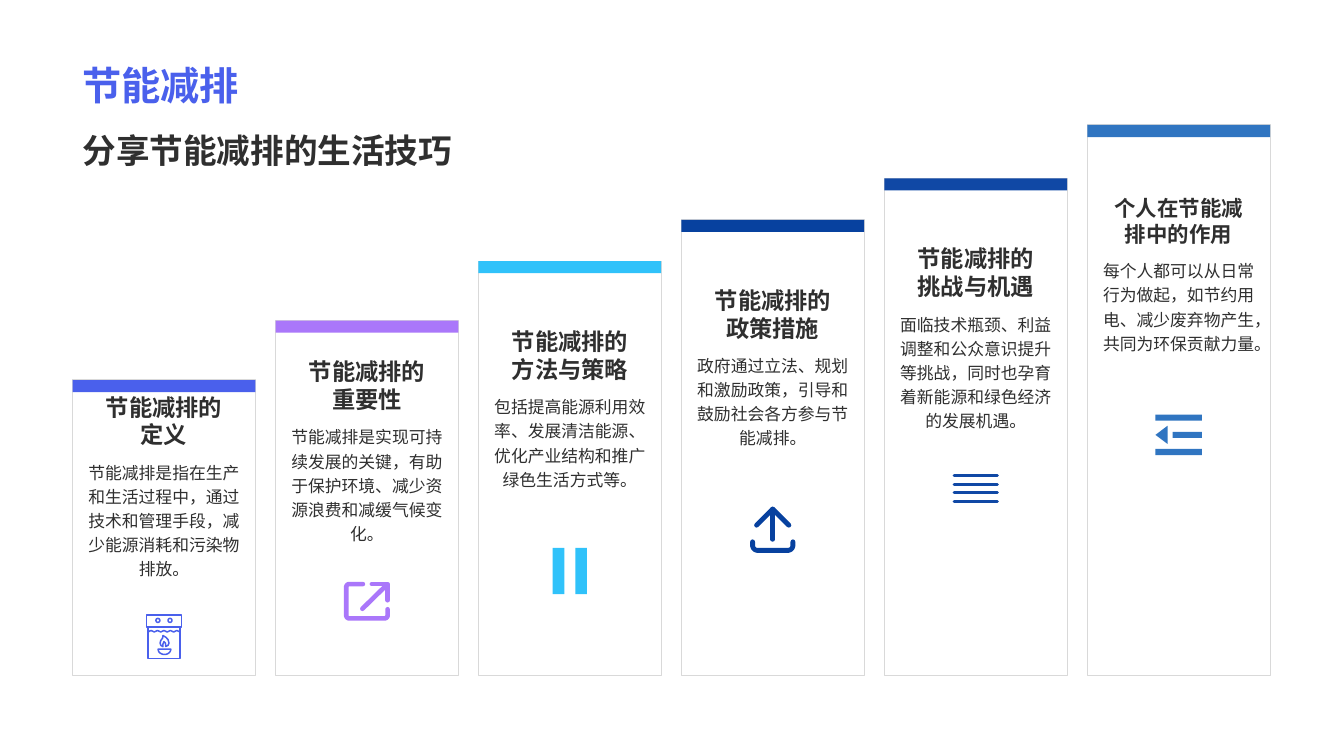
"""Build a slide of six rising columns on saving energy and cutting emissions."""
from dataclasses import dataclass
from math import cos, radians, sin

from lxml.etree import SubElement
from pptx import Presentation
from pptx.dml.color import RGBColor
from pptx.enum.shapes import MSO_SHAPE
from pptx.enum.text import MSO_ANCHOR, PP_ALIGN
from pptx.oxml.ns import qn
from pptx.shapes.autoshape import Shape
from pptx.shapes.shapetree import SlideShapes
from pptx.util import Emu, Inches, Pt

Point = tuple[float, float]
Path = list[Point]

WIDTH, HEIGHT = Inches(13.33), Inches(7.5)
FONT = "Arial"
INK = RGBColor(0x2F, 0x2F, 0x2F)
WHITE = RGBColor(0xFF, 0xFF, 0xFF)
FRAME = RGBColor(0xD9, 0xD9, 0xD9)
INDIGO = RGBColor(0x4A, 0x60, 0xEC)
VIOLET = RGBColor(0xAA, 0x77, 0xFA)
CYAN = RGBColor(0x30, 0xC2, 0xFA)
NAVY = RGBColor(0x07, 0x41, 0x9F)
COBALT = RGBColor(0x10, 0x48, 0xA5)
STEEL = RGBColor(0x30, 0x75, 0xC1)

MARGIN, PITCH, COLUMN_WIDTH, FLOOR = 5.4, 15.1, 13.6, 89.4
CAP_HEIGHT = 1.6
HEADING_WIDTH, HEADING_HEIGHT = 11.55, 7.85
BODY_WIDTH, BODY_HEIGHT = 12.75, 18.27
ICON_DROP = 24.2
ICON_UNIT = Inches(0.01)


@dataclass(frozen=True)
class Box:
    """A rectangle in percent of the slide's width and height."""
    left: float
    top: float
    width: float
    height: float

    def emu(self) -> tuple[Emu, Emu, Emu, Emu]:
        """Return left, top, width and height in EMU."""
        return (Emu(round(WIDTH * self.left / 100)), Emu(round(HEIGHT * self.top / 100)),
                Emu(round(WIDTH * self.width / 100)), Emu(round(HEIGHT * self.height / 100)))


@dataclass(frozen=True)
class Icon:
    """Paths around a centre, in hundredths of an inch; filled if stroke is zero."""
    paths: list[Path]
    stroke: float = 0


@dataclass(frozen=True)
class Column:
    """One column, with its top and the top of its body in percent."""
    heading: str
    body: str
    colour: RGBColor
    top: float
    body_top: float
    icon: Icon
    heading_size: float = 16.6


def arc(x: float, y: float, rx: float, ry: float, start: int, end: int) -> Path:
    """Return points along an elliptical arc."""
    turns = [radians(start + (end - start) * step / 12) for step in range(13)]
    return [(x + rx * cos(turn), y + ry * sin(turn)) for turn in turns]


def bar(left: float, top: float, right: float, bottom: float) -> Path:
    """Return the closed outline of a rectangle."""
    return [(left, top), (right, top), (right, bottom), (left, bottom), (left, top)]


STOVE = Icon([
    bar(-17.5, -21.5, 17.5, -9.5),
    [(-16, -9.5), (-16, 22), (16, 22), (16, -9.5)],
    *[arc(x, -16, 2, 2, 0, 360) for x in (-6, 6)],
    [(-16 + 3.2 * step, -6 if step % 2 else -4.5) for step in range(11)],
    [(-1, -1), (-1.3, 1.5), (-3.2, 4), (-3.8, 6.5), (-3, 8.8), (-1, 10), (-1, 7.5), (0, 5),
     (1.5, 6.5), (1.8, 9.8), (4, 8.8), (5, 6.5), (4, 3), (2, 0.8), (-1, -1)],
    arc(0.5, 12.5, 6.3, 5.3, 0, 180) + [(6.8, 12.5)],
], 1.5)
EXPORT = Icon([
    [(-4, -17), *arc(-17.5, -14, 3, 3, 270, 180), *arc(-17.5, 14, 3, 3, 180, 90),
     *arc(17.5, 14, 3, 3, 90, 0), (20.5, 8)],
    [(5, -17), (20.5, -17), (20.5, -1)],
    [(-4.5, 7.5), (19, -15.5)],
], 4.6)
PAUSE = Icon([bar(-17, -23, -5.5, 23), bar(5.5, -23, 17, 23)])
UPLOAD = Icon([
    [(-20, 12), *arc(-15, 15.5, 5, 5, 180, 90), *arc(15, 15.5, 5, 5, 90, 0), (20, 12)],
    [(0, -20.5), (0, 9.5)],
    [(-16, -4.5), (0, -20.5), (16, -4.5)],
], 4.8)
MENU = Icon([[(-21.5, -13 + 8.7 * row), (21.5, -13 + 8.7 * row)] for row in range(4)], 3)
OUTDENT = Icon([
    bar(-23, -20, 23, -14), bar(-23, 14, 23, 20), bar(-6, -3, 23, 3),
    [(-11, -9), (-23, 0), (-11, 9), (-11, -9)],
])

COLUMNS = [
    Column("节能减排的定义", "节能减排是指在生产和生活过程中，通过技术和管理手段，减少能源消耗和污染物排放。",
           INDIGO, 50.27, 60, STOVE),
    Column("节能减排的重要性", "节能减排是实现可持续发展的关键，有助于保护环境、减少资源浪费和减缓气候变化。",
           VIOLET, 42.4, 55.33, EXPORT),
    Column("节能减排的方法与策略", "包括提高能源利用效率、发展清洁能源、优化产业结构和推广绿色生活方式等。",
           CYAN, 34.53, 51.33, PAUSE),
    Column("节能减排的政策措施", "政府通过立法、规划和激励政策，引导和鼓励社会各方参与节能减排。",
           NAVY, 29.07, 45.87, UPLOAD),
    Column("节能减排的挑战与机遇", "面临技术瓶颈、利益调整和公众意识提升等挑战，同时也孕育着新能源和绿色经济的发展机遇。",
           COBALT, 23.6, 40.4, MENU),
    Column("个人在节能减排中的作用", "每个人都可以从日常行为做起，如节约用电、减少废弃物产生，共同为环保贡献力量。",
           STEEL, 16.53, 33.33, OUTDENT, 15.3),
]


def write(holder: Shape, text: str, size: float, colour: RGBColor = INK, bold: bool = False,
          align: PP_ALIGN = PP_ALIGN.CENTER, anchor: MSO_ANCHOR = MSO_ANCHOR.TOP,
          spacing: float = 1.0) -> None:
    """Put one formatted paragraph into a shape."""
    frame = holder.text_frame
    frame.text = text
    frame.word_wrap = True
    frame.vertical_anchor = anchor
    paragraph = frame.paragraphs[0]
    paragraph.alignment = align
    paragraph.line_spacing = spacing
    font = paragraph.runs[0].font
    font.name, font.size, font.bold = FONT, Pt(size), bold
    font.color.rgb = colour
    SubElement(font._element, qn("a:ea")).set("typeface", FONT)


def add_panel(shapes: SlideShapes, box: Box, fill: RGBColor | None = None) -> Shape:
    """Add a filled rectangle, or a thin frame when no fill is given."""
    panel = shapes.add_shape(MSO_SHAPE.RECTANGLE, *box.emu())
    panel.shadow.inherit = False
    if fill is None:
        panel.fill.background()
        panel.line.color.rgb = FRAME
        panel.line.width = Pt(0.75)
    else:
        panel.fill.solid()
        panel.fill.fore_color.rgb = fill
        panel.line.fill.background()
    return panel


def add_icon(shapes: SlideShapes, icon: Icon, colour: RGBColor, x: Emu, y: Emu) -> None:
    """Draw an icon around a centre as one freeform."""
    scaled = [[(px * 10, py * 10) for px, py in path] for path in icon.paths]
    builder = shapes.build_freeform(*scaled[0][0], scale=ICON_UNIT / 10)
    builder.add_line_segments(scaled[0][1:], close=False)
    for path in scaled[1:]:
        builder.move_to(*path[0])
        builder.add_line_segments(path[1:], close=False)
    drawing = builder.convert_to_shape(x, y)
    drawing.shadow.inherit = False
    if icon.stroke:
        drawing.fill.background()
        drawing.line.color.rgb = colour
        drawing.line.width = Pt(icon.stroke * 0.72)
        outline = drawing.line._get_or_add_ln()
        outline.set("cap", "rnd")
        SubElement(outline, qn("a:round"))
    else:
        drawing.fill.solid()
        drawing.fill.fore_color.rgb = colour
        drawing.line.fill.background()


def add_column(shapes: SlideShapes, index: int, column: Column) -> None:
    """Draw one column with its frame, cap, texts and icon."""
    left = MARGIN + index * PITCH
    centre = left + COLUMN_WIDTH / 2
    add_panel(shapes, Box(left, column.top, COLUMN_WIDTH, FLOOR - column.top))
    add_panel(shapes, Box(left, column.top, COLUMN_WIDTH, CAP_HEIGHT), column.colour)
    body = add_panel(shapes, Box(centre - BODY_WIDTH / 2, column.body_top,
                                 BODY_WIDTH, BODY_HEIGHT), WHITE)
    write(body, column.body, 12, spacing=1.2)
    heading = add_panel(shapes, Box(centre - HEADING_WIDTH / 2, column.body_top - HEADING_HEIGHT,
                                    HEADING_WIDTH, HEADING_HEIGHT), WHITE)
    write(heading, column.heading, column.heading_size, bold=True, anchor=MSO_ANCHOR.BOTTOM)
    x, y, _, _ = Box(centre, column.body_top + ICON_DROP, 0, 0).emu()
    add_icon(shapes, column.icon, column.colour, x, y)


def main() -> None:
    """Build and save the slide."""
    deck = Presentation()
    deck.slide_width, deck.slide_height = WIDTH, HEIGHT
    shapes = deck.slides.add_slide(deck.slide_layouts[6]).shapes
    title = shapes.add_textbox(*Box(MARGIN, 1.87, 89.1, 13.07).emu())
    write(title, "节能减排", 28, INDIGO, True, PP_ALIGN.LEFT, MSO_ANCHOR.BOTTOM)
    for index, column in enumerate(COLUMNS):
        add_column(shapes, index, column)
    subtitle = shapes.add_textbox(*Box(MARGIN, 16.53, 42.16, 24.53).emu())
    write(subtitle, "分享节能减排的生活技巧", 24, bold=True, align=PP_ALIGN.LEFT)
    deck.save("out.pptx")


if __name__ == "__main__":
    main()
